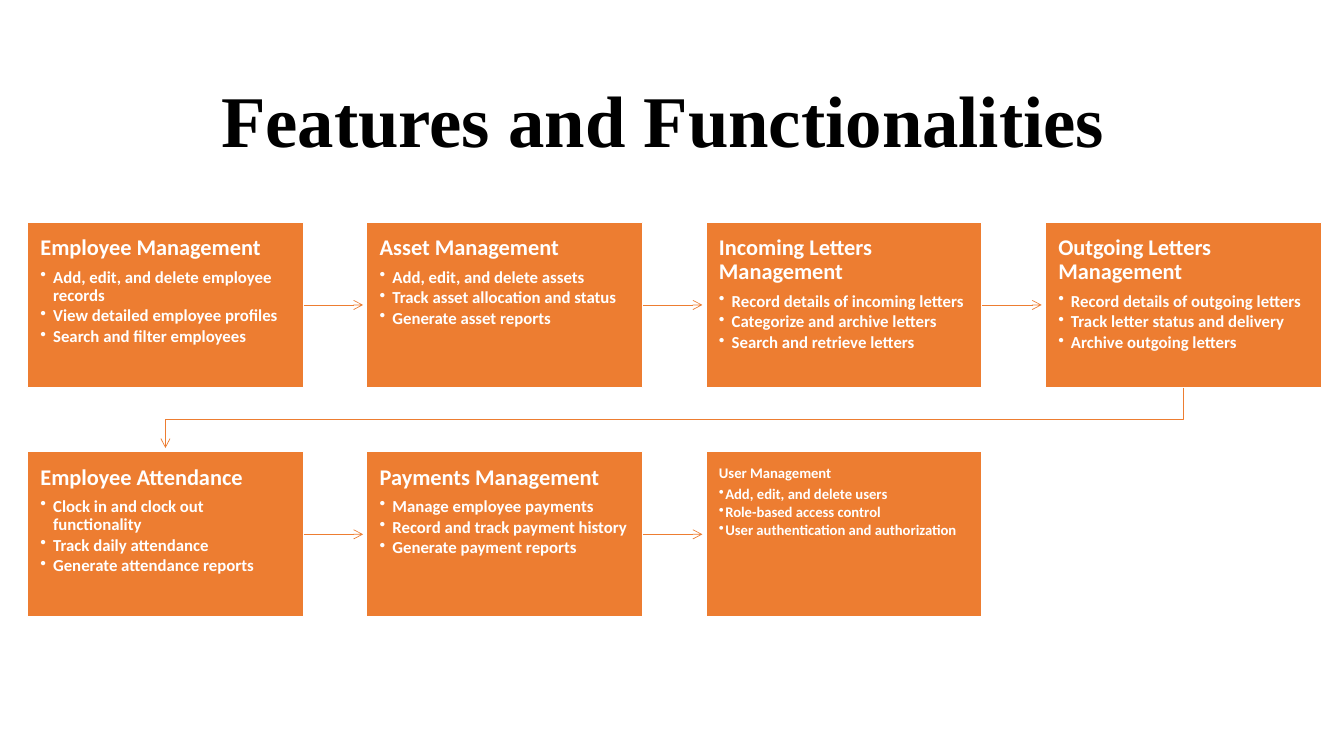
from lxml import etree
from pptx import Presentation
from pptx.dml.color import RGBColor
from pptx.enum.shapes import MSO_CONNECTOR, MSO_SHAPE
from pptx.enum.text import MSO_ANCHOR, PP_ALIGN
from pptx.oxml.ns import qn
from pptx.util import Cm, Pt

STRAIGHT = MSO_CONNECTOR.STRAIGHT
RECTANGLE = MSO_SHAPE.RECTANGLE
TOP, MIDDLE = MSO_ANCHOR.TOP, MSO_ANCHOR.MIDDLE
LEFT, CENTER = PP_ALIGN.LEFT, PP_ALIGN.CENTER

COLORS = {"orange": "ED7D31", "white": "FFFFFF", "black": "000000"}

# Heading, heading size, bullet size, bullet indent in cm, bullets
FEATURES = [
    ("Employee Management", 16, 12, 0.32,
     ["Add, edit, and delete employee records",
      "View detailed employee profiles", "Search and filter employees"]),
    ("Asset Management", 16, 12, 0.32,
     ["Add, edit, and delete assets",
      "Track asset allocation and status", "Generate asset reports"]),
    ("Incoming Letters Management", 16, 12, 0.32,
     ["Record details of incoming letters",
      "Categorize and archive letters", "Search and retrieve letters"]),
    ("Outgoing Letters Management", 16, 12, 0.32,
     ["Record details of outgoing letters",
      "Track letter status and delivery", "Archive outgoing letters"]),
    ("Employee Attendance", 16, 12, 0.32,
     ["Clock in and clock out functionality",
      "Track daily attendance", "Generate attendance reports"]),
    ("Payments Management", 16, 12, 0.32,
     ["Manage employee payments",
      "Record and track payment history", "Generate payment reports"]),
    ("User Management", 10.5, 10.5, 0.16,
     ["Add, edit, and delete users",
      "Role-based access control", "User authentication and authorization"]),
]

# Grid in cm
COLUMNS = 4
GRID_LEFT, GRID_TOP = 0.69, 5.6
BOX_WIDTH, BOX_HEIGHT = 6.96, 4.17
COLUMN_STEP, ROW_STEP = 8.55, 5.78
ARROW_GAP = 0.09


def style_text(paragraph, font_name, size, color):
    paragraph.line_spacing = 0.9
    for span in paragraph.runs:
        span.font.name = font_name
        span.font.size = Pt(size)
        span.font.bold = True
        span.font.color.rgb = RGBColor.from_string(COLORS[color])


def style_arrow(arrow):
    arrow.line.color.rgb = RGBColor.from_string(COLORS["orange"])
    arrow.line.width = Pt(0.5)
    etree.SubElement(arrow.line._get_or_add_ln(), qn("a:tailEnd"), type="arrow")


deck = Presentation()
deck.slide_width, deck.slide_height = Cm(33.87), Cm(19.05)
page = deck.slides.add_slide(deck.slide_layouts[6])

# Title: its trailing space takes part in the centring
title = page.shapes.add_textbox(Cm(2.33), Cm(1.55), Cm(29.21), Cm(3.15))
title.text_frame.word_wrap = True
title.text_frame.vertical_anchor = MIDDLE
title.text_frame.text = "Features and Functionalities "
title.text_frame.paragraphs[0].alignment = CENTER
style_text(title.text_frame.paragraphs[0], "Times New Roman", 52, "black")

# Feature boxes
boxes = []
for index, (heading, heading_size, bullet_size, indent, bullets) in enumerate(FEATURES):
    row, column = divmod(index, COLUMNS)
    box = page.shapes.add_shape(
        RECTANGLE,
        Cm(GRID_LEFT + column * COLUMN_STEP), Cm(GRID_TOP + row * ROW_STEP),
        Cm(BOX_WIDTH), Cm(BOX_HEIGHT))
    box.shadow.inherit = False
    box.fill.solid()
    box.fill.fore_color.rgb = RGBColor.from_string(COLORS["orange"])
    box.line.color.rgb = RGBColor.from_string(COLORS["white"])
    box.line.width = Pt(1)
    boxes.append(box)

    frame = box.text_frame
    frame.word_wrap = True
    frame.vertical_anchor = TOP
    frame.margin_left = frame.margin_right = Cm(0.33)
    frame.margin_top = frame.margin_bottom = Cm(0.36)
    frame.text = "\n".join([heading] + bullets)
    for number, para in enumerate(frame.paragraphs):
        size = bullet_size if number else heading_size
        style_text(para, "Calibri", size, "white")
        para.alignment = LEFT
        para.space_after = Pt(round(size * (0.15 if number else 0.35), 1))
        if number:
            para.level = 1
            properties = para._p.get_or_add_pPr()
            properties.set("marL", str(Cm(indent)))
            properties.set("indent", str(-Cm(indent)))
            etree.SubElement(properties, qn("a:buChar"), char="•")

# Arrows from each box to the next one
for box, following in zip(boxes, boxes[1:]):
    if box.top == following.top:
        middle = box.top + box.height // 2
        arrow = page.shapes.add_connector(
            STRAIGHT, box.left + box.width, middle,
            following.left - Cm(ARROW_GAP), middle)
        arrow.begin_connect(box, 3)
        etree.SubElement(arrow._element.spPr, qn("a:effectLst"))
    else:
        start_x = box.left + box.width // 2
        start_y = box.top + box.height
        end_x = following.left + following.width // 2
        turn_y = (start_y + following.top) // 2
        outline = page.shapes.build_freeform(start_x, start_y)
        outline.add_line_segments(
            [(start_x, turn_y), (end_x, turn_y),
             (end_x, following.top - Cm(ARROW_GAP))], close=False)
        arrow = outline.convert_to_shape()
        arrow.fill.background()
        arrow.shadow.inherit = False
    style_arrow(arrow)

deck.save("out.pptx")
